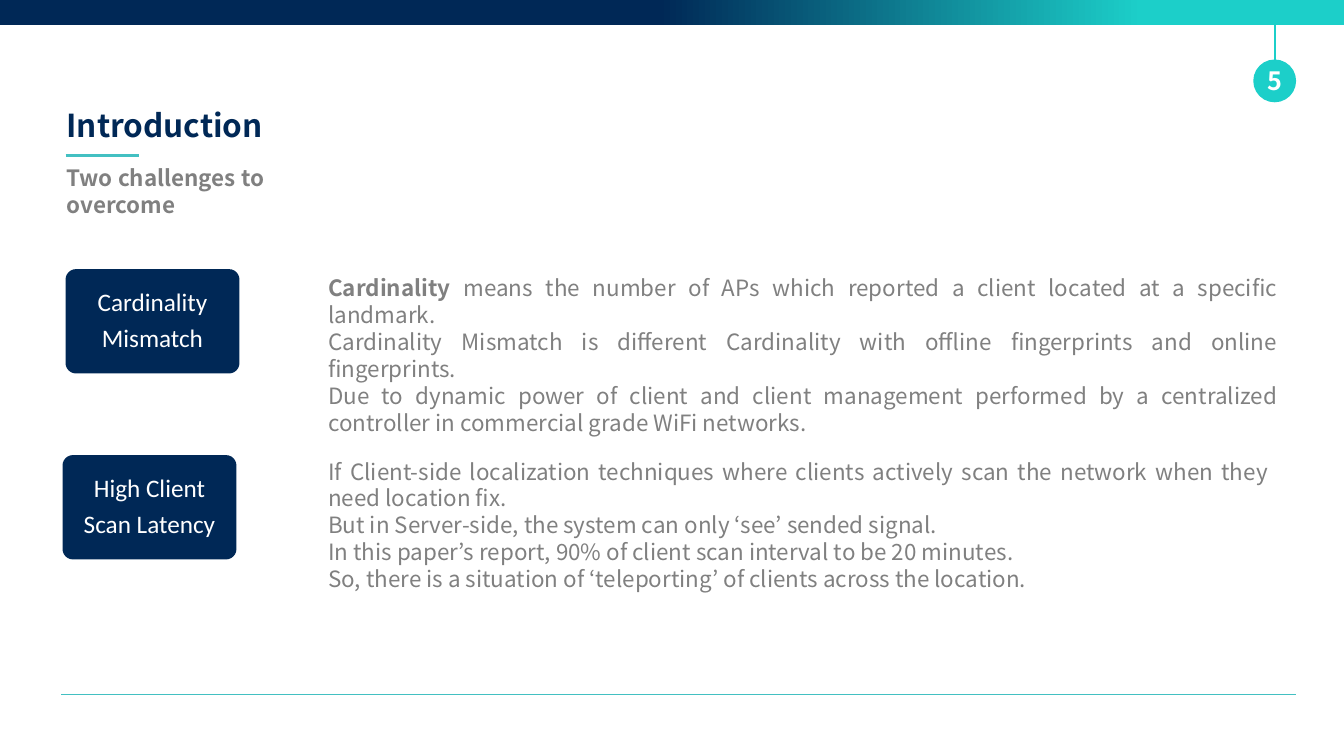
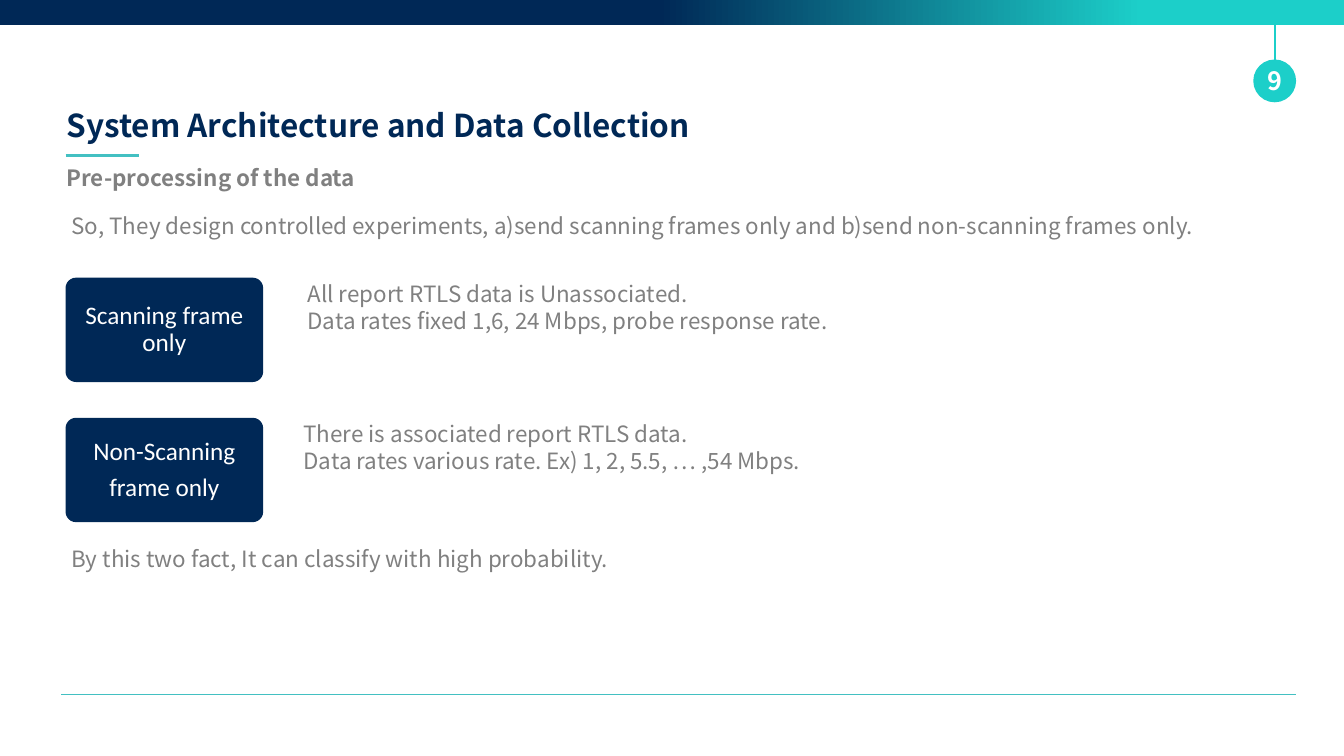
from lxml import etree
from pptx import Presentation
from pptx import util as u
from pptx.dml.color import RGBColor
from pptx.enum import shapes, text
from pptx.oxml.ns import qn

COLORS = {"navy": "002856", "teal": "1CCFC9", "rule": "43C0C2",
          "gray": "808080", "white": "FFFFFF"}
HEADING_FONT = "Noto Sans CJK KR"
CARD_FONT = "Calibri"
LEFT, TOP, RIGHT = 1.22, 2.05, 25.71
WIDE = 23.21
PLAIN_INSETS = (0.1, 0.05, 0.1, 0.05)
BODY_INSETS = (0.2, 0.05, 0.12, 0.05)
CARD_INSETS = (0.15,) * 4


def rgb(name):
    return RGBColor.from_string(COLORS[name])


def place(item, box):
    item.left, item.top, item.width, item.height = map(u.Inches, box)


def add_text_box(parent, box):
    return parent.shapes.add_textbox(*map(u.Inches, box))


def write(frame, lines, size, color, font=HEADING_FONT, bold=False,
          align=text.PP_ALIGN.LEFT, insets=PLAIN_INSETS,
          anchor=text.MSO_ANCHOR.TOP, grow=True):
    """Fill a text frame; a line is a string or a (bold lead, rest) pair."""
    frame.word_wrap = True
    frame.auto_size = (text.MSO_AUTO_SIZE.SHAPE_TO_FIT_TEXT if grow
                       else text.MSO_AUTO_SIZE.NONE)
    frame.vertical_anchor = anchor
    (frame.margin_left, frame.margin_top,
     frame.margin_right, frame.margin_bottom) = map(u.Inches, insets)
    for number, line in enumerate(lines):
        para = frame.add_paragraph() if number else frame.paragraphs[0]
        para.alignment = align
        para.space_before = u.Pt(0)
        para.font.name, para.font.size = font, u.Pt(size)
        para.font.bold = bold
        para.font.color.rgb = rgb(color)
        if isinstance(line, str):
            para.add_run().text = line
        else:
            for part, is_bold in zip(line, (True, False)):
                span = para.add_run()
                span.text = part
                span.font.bold = is_bold


def add_filled(parent, preset, box, color=None):
    shape = parent.shapes.add_shape(preset, *map(u.Inches, box))
    shape.shadow.inherit = False
    shape.line.fill.background()
    if color:
        shape.fill.solid()
        shape.fill.fore_color.rgb = rgb(color)
    return shape


def add_line(parent, start, end, color, width):
    line = parent.shapes.add_connector(
        shapes.MSO_CONNECTOR.STRAIGHT, *map(u.Inches, start + end))
    line.line.color.rgb = rgb(color)
    line.line.width = u.Pt(width)
    etree.SubElement(line._element.spPr, qn("a:effectLst"))


def add_header_band(page, width, number):
    """Gradient strip with the page number hanging from it."""
    group = page.shapes.add_group_shape()
    strip = add_filled(group, shapes.MSO_SHAPE.RECTANGLE, (0, 0, width, 0.49))
    strip.fill.gradient()
    strip.fill.gradient_angle = 0
    stops = ((0.49, "navy"), (0.85, "teal"))
    for stop, (position, color) in zip(strip.fill.gradient_stops, stops):
        stop.position = position
        stop.color.rgb = rgb(color)
    size = 0.85
    center = RIGHT - size / 2
    add_line(group, (center, 0), (center, 1.6), "teal", 3.25)
    badge = add_filled(group, shapes.MSO_SHAPE.OVAL,
                       (RIGHT - size, 1.18, size, size), "teal")
    write(badge.text_frame, [str(number)], 36, "white", bold=True,
          align=text.PP_ALIGN.CENTER, insets=(0,) * 4,
          anchor=text.MSO_ANCHOR.MIDDLE, grow=False)


def add_heading(page, title, subtitle):
    place(page.shapes.title, (LEFT, TOP, WIDE, 0.86))
    write(page.shapes.title.text_frame, [title], 45, "navy", bold=True)
    y = TOP + 1.04
    add_line(page, (LEFT + 0.08, y), (LEFT + 1.54, y), "rule", 4.5)
    box = add_text_box(page, (LEFT, TOP + 1.16, 6.28, 0.64))
    write(box.text_frame, [subtitle], 32, "gray", bold=True)


def add_card(page, box, lines):
    left, top, width, height = box
    group = page.shapes.add_group_shape()
    panel = add_filled(group, shapes.MSO_SHAPE.ROUNDED_RECTANGLE, box, "navy")
    panel.adjustments[0] = 0.1
    pad = 0.06
    label = add_text_box(group, (left + pad, top + pad,
                                 width - 2 * pad, height - 2 * pad))
    write(label.text_frame, lines, 36, "white", font=CARD_FONT,
          align=text.PP_ALIGN.CENTER, insets=CARD_INSETS,
          anchor=text.MSO_ANCHOR.MIDDLE, grow=False)
    for para in label.text_frame.paragraphs:
        para.line_spacing = 0.9
        para.space_after = u.Pt(12.6)


def write_body(frame, lines):
    write(frame, lines, 32, "gray", align=text.PP_ALIGN.JUSTIFY,
          insets=BODY_INSETS)


def fill_body(body, box, lines):
    """Use a body placeholder for unbulleted explanation lines."""
    place(body, box)
    write_body(body.text_frame, lines)
    for para in body.text_frame.paragraphs:
        properties = para._p.get_or_add_pPr()
        properties.set("marL", "0")
        properties.set("indent", "0")
        bullet = etree.Element(qn("a:buNone"))
        properties.find(qn("a:defRPr")).addprevious(bullet)


def add_note(page, top, line):
    note = add_text_box(page, (LEFT, top, WIDE, 0.64))
    write_body(note.text_frame, [line])


def add_topic_slide(deck, number, title, subtitle, topics, notes=()):
    """Topics are (card box, card lines, body box, body lines)."""
    page = deck.slides.add_slide(deck.slide_layouts[3])
    add_heading(page, title, subtitle)
    add_line(page, (LEFT, 13.78), (RIGHT, 13.78), "rule", 0.5)
    add_header_band(page, deck.slide_width / u.Inches(1), number)
    for index, (card, label, box, lines) in enumerate(topics, start=1):
        add_card(page, card, label)
        fill_body(page.placeholders[index], box, lines)
    for top, line in notes:
        add_note(page, top, line)


def main():
    deck = Presentation()
    deck.slide_width, deck.slide_height = u.Inches(26.66), u.Inches(15)
    add_topic_slide(
        deck, 5, "Introduction", "Two challenges to overcome",
        [((1.3, 5.34, 3.45, 2.07), ["Cardinality", "Mismatch"],
          (6.31, 5.39, 19.16, 2.26),
          [("Cardinality", " means the number of APs which reported a client "
            "located at a specific landmark."),
           "Cardinality Mismatch is different Cardinality with offline "
           "fingerprints and online fingerprints.",
           "Due to dynamic power of client and client management performed "
           "by a centralized controller in commercial grade WiFi networks."]),
         ((1.24, 9.03, 3.45, 2.07), ["High Client", "Scan Latency"],
          (6.31, 9.03, 18.98, 2.79),
          ["If Client-side localization techniques where clients actively "
           "scan the network when they need location fix.",
           "But in Server-side, the system can only ‘see’ sended signal.",
           "In this paper’s report, 90% of client scan interval to be "
           "20 minutes.",
           "So, there is a situation of ‘teleporting’ of clients across "
           "the location."])])
    add_topic_slide(
        deck, 9, "System Architecture and Data Collection",
        "Pre-processing of the data",
        [((1.3, 5.51, 3.92, 2.07), ["Scanning frame only"],
          (5.9, 5.51, 19.47, 1.18),
          ["All report RTLS data is Unassociated.",
           "Data rates fixed 1,6, 24 Mbps, probe response rate."]),
         ((1.3, 8.29, 3.92, 2.07), ["Non-Scanning", "frame only"],
          (5.82, 8.29, 19.47, 1.18),
          ["There is associated report RTLS data.",
           "Data rates various rate. Ex) 1, 2, 5.5, … ,54 Mbps."])],
        [(4.16, "So, They design controlled experiments, a)send scanning "
          "frames only and b)send non-scanning frames only."),
         (10.77, "By this two fact, It can classify with high probability.")])
    deck.save("out.pptx")


if __name__ == "__main__":
    main()
